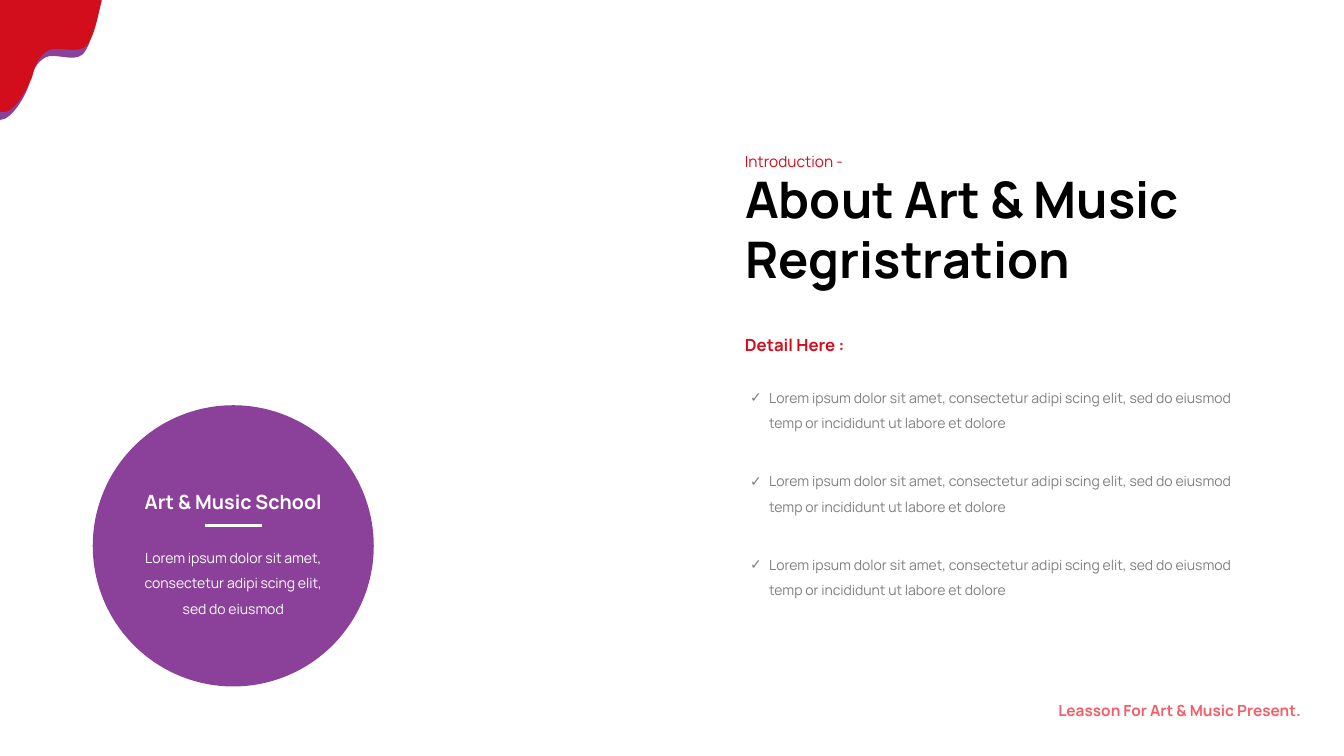
"""Build the art and music registration slide."""
from lxml.etree import SubElement as Sub
from pptx import Presentation
from pptx.dml.color import RGBColor as RGB
from pptx.enum.shapes import MSO_CONNECTOR as Link, MSO_SHAPE as Kind
from pptx.enum.text import MSO_ANCHOR as Anchor, MSO_AUTO_SIZE as Fit, PP_ALIGN as Align
from pptx.oxml.ns import qn
from pptx.util import Inches, Pt

RED, PURPLE, CORAL = RGB(0xD2, 0x0E, 0x1C), RGB(0x8B, 0x40, 0x9A), RGB(0xF4, 0x5E, 0x69)
BLACK, GRAY, WHITE = RGB(0, 0, 0), RGB(0x7F, 0x7F, 0x7F), RGB(255, 255, 255)
FONT = "Manrope"
WIDE, HIGH = Inches(13.34), Inches(7.5)

TITLE = "About Art & Music Regristration"
ITEMS = ["Lorem ipsum dolor sit amet, consectetur adipi scing elit, "
         "sed do eiusmod temp or incididunt ut labore et dolore"] * 3
TITLE_BOX = (54.69, 21.53, 34.33, 25.33)
LIST_BOX = (55.06, 49.73, 37.26, 30.13)
DISC_BOX = (6.9, 53.6, 20.91, 37.2)
RULE = (15.22, 19.49, 69.47)
NOTES = [
    ("Leasson For Art & Music Present.", (69.44, 90.87, 28.11, 5.07), 11, CORAL, True, Align.RIGHT),
    ("Introduction -", (54.69, 18.27, 12.59, 5.07), 11, RED, False, Align.JUSTIFY),
    ("Detail Here :", (54.69, 42.27, 23.99, 5.33), 12, RED, True, Align.LEFT),
    ("Art & Music School", (7.69, 62.53, 19.34, 6), 14, WHITE, True, Align.CENTER),
    ("Lorem ipsum dolor sit amet, consectetur adipi scing elit, sed do eiusmod",
     (9.26, 70.93, 16.19, 11.33), 10, WHITE, False, Align.CENTER),
]
DRIPS = [
    (PURPLE, [(0, 0.08), (0.98, 0.08)],
     [[(0.95, 0.18), (0.91, 0.45), (0.82, 0.54)], [(0.73, 0.62), (0.54, 0.52), (0.45, 0.57)],
      [(0.36, 0.62), (0.32, 0.71), (0.29, 0.83)], [(0.26, 0.94), (0.12, 1.19), (0, 1.19)]]),
    (RED, [(0, 1.11), (0, 0), (1.01, 0), (1.01, 0.01)],
     [[(0.98, 0.11), (0.94, 0.38), (0.85, 0.46)], [(0.76, 0.54), (0.57, 0.45), (0.48, 0.5)],
      [(0.39, 0.55), (0.35, 0.64), (0.32, 0.76)], [(0.28, 0.87), (0.13, 1.15), (0.01, 1.11)]]),
]


def across(share):
    return round(WIDE * share / 100)


def down(share):
    return round(HIGH * share / 100)


def place(box):
    x, y, w, h = box
    return across(x), down(y), across(w), down(h)


def move(shape, box):
    shape.left, shape.top, shape.width, shape.height = place(box)


def write(frame, lines, size, color, bold=False, align=Align.LEFT, space=1.5, gap=0):
    frame.word_wrap = True
    frame.auto_size = Fit.NONE
    frame.vertical_anchor = Anchor.TOP
    for i, line in enumerate(lines):
        para = frame.add_paragraph() if i else frame.paragraphs[0]
        para.alignment, para.line_spacing = align, space
        para.space_before, para.space_after = Pt(0), Pt(gap)
        run = para.add_run()
        run.text = line
        font = run.font
        font.name, font.size, font.bold = FONT, Pt(size), bold
        font.color.rgb = color


def tick(para):
    props = para._p.get_or_add_pPr()
    props.set("marL", str(Inches(0.19)))
    props.set("indent", str(-Inches(0.19)))
    Sub(props, qn("a:buChar")).set("char", "✓")


def paint(shape, color):
    shape.fill.solid()
    shape.fill.fore_color.rgb = color
    shape.line.fill.background()
    shape.shadow.inherit = False


def drip(shapes, color, edge, curves):
    dots = [(Inches(x), Inches(y)) for x, y in edge + [curve[-1] for curve in curves]]
    pen = shapes.build_freeform(*dots[0])
    pen.add_line_segments(dots[1:], close=True)
    shape = pen.convert_to_shape()
    paint(shape, color)
    lines = [n for n in shape._element.iter(qn("a:lnTo"))][len(edge) - 1:]
    for line, curve in zip(lines, curves):
        line.tag = qn("a:cubicBezTo")
        line.remove(line[0])
        for x, y in curve:
            dot = Sub(line, qn("a:pt"))
            dot.set("x", str(Inches(x) - shape.left))
            dot.set("y", str(Inches(y) - shape.top))


def main():
    deck = Presentation()
    deck.slide_width, deck.slide_height = WIDE, HIGH
    slide = deck.slides.add_slide(deck.slide_layouts[1])
    shapes = slide.shapes

    title, body = slide.placeholders
    move(title, TITLE_BOX)
    write(title.text_frame, [TITLE], 36, BLACK, True, space=1)
    move(body, LIST_BOX)
    write(body.text_frame, ITEMS, 10, GRAY, align=Align.JUSTIFY, gap=23.5)
    for para in body.text_frame.paragraphs:
        tick(para)

    for color, edge, curves in DRIPS:
        drip(shapes, color, edge, curves)
    paint(shapes.add_shape(Kind.OVAL, *place(DISC_BOX)), PURPLE)

    for text, box, size, color, bold, align in NOTES:
        note = shapes.add_textbox(*place(box))
        write(note.text_frame, [text], size, color, bold, align)

    left, right, y = RULE
    rule = shapes.add_connector(Link.STRAIGHT, across(left), down(y), across(right), down(y))
    rule.line.color.rgb = WHITE
    rule.line.width = Pt(2.25)
    Sub(rule._element.spPr, qn("a:effectLst"))

    deck.save("out.pptx")


if __name__ == "__main__":
    main()
